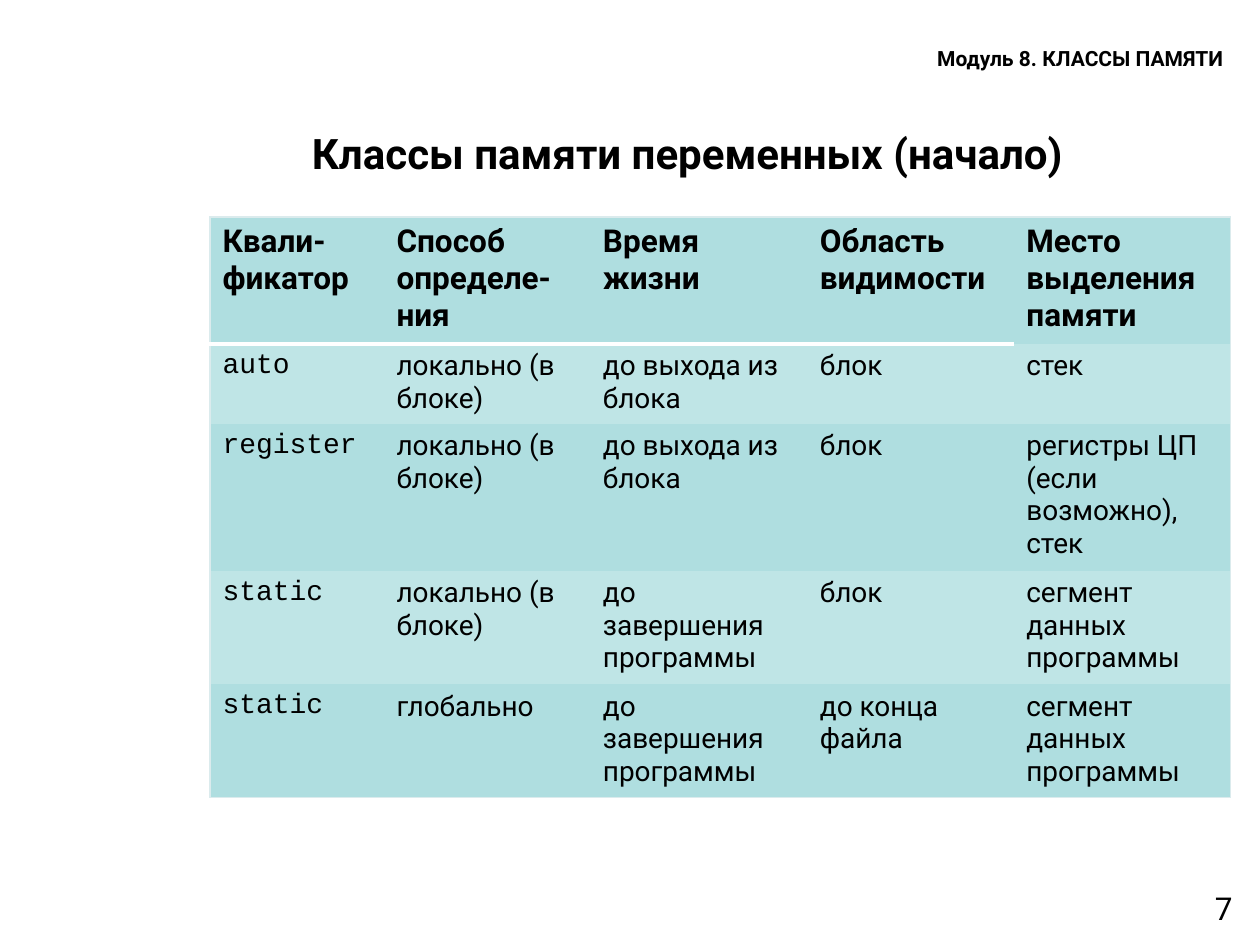
from lxml import etree
from pptx import Presentation
from pptx.dml.color import RGBColor
from pptx.enum import text
from pptx.oxml import ns
from pptx.util import Pt

COLORS = {
    "ink": "000000",
    "teal": "AFDEE0",
    "light teal": "BFE5E6",
    "edge": "DBEBED",
    "rule": "FFFFFF",
}
FONT = "Roboto"
CODE_FONT = "Courier New"
PLAIN_STYLE = "{2D5ABB26-0587-4C30-8999-92F81FD0307C}"  # no style, no grid

COLUMN_WIDTHS = [99.4, 118, 124, 118, 124]
ROW_HEIGHTS = [72.5, 45.2, 84, 64.8, 64.8]
ROWS = [
    ["Квали-фикатор", "Способ определе-ния", "Время жизни",
     "Область видимости", "Место выделения памяти"],
    ["auto", "локально (в блоке)", "до выхода из блока", "блок", "стек"],
    ["register", "локально (в блоке)", "до выхода из блока", "блок",
     "регистры ЦП (если возможно), стек"],
    ["static", "локально (в блоке)", "до завершения программы", "блок",
     "сегмент данных программы"],
    ["static", "глобально", "до завершения программы", "до конца файла",
     "сегмент данных программы"],
]


def rgb(name):
    return RGBColor.from_string(COLORS[name])


def write(frame, words, size, bold=False, font=FONT, align=None):
    para = frame.paragraphs[0]
    para.alignment = align
    span = para.add_run()
    span.text = words
    for key, value in {"name": font, "size": Pt(size), "bold": bold}.items():
        setattr(span.font, key, value)
    span.font.color.rgb = rgb("ink")


def add_text(page, bounds, words, size, frame_format=None, **style):
    box = page.shapes.add_textbox(*map(Pt, bounds))
    for key, value in {"word_wrap": True, **(frame_format or {})}.items():
        setattr(box.text_frame, key, value)
    write(box.text_frame, words, size, **style)


def add_border(cell, side, color, width):
    """Draw one cell side: L, R, T or B, in that order and before the fill."""
    line = etree.SubElement(cell._tc.get_or_add_tcPr(), ns.qn(f"a:ln{side}"),
                            w=str(Pt(width)))
    fill = etree.SubElement(line, ns.qn("a:solidFill"))
    etree.SubElement(fill, ns.qn("a:srgbClr"), val=COLORS[color])


def format_cell(cell, row, column):
    last_row, last_column = len(ROWS) - 1, len(COLUMN_WIDTHS) - 1
    outer = {"L": column == 0, "R": column == last_column,
             "T": row == 0, "B": row == last_row}
    for side, on_edge in outer.items():
        if on_edge:
            add_border(cell, side, "edge", 0.75)
    if row == 0 and column < last_column:
        add_border(cell, "B", "rule", 3)
    cell.fill.solid()
    cell.fill.fore_color.rgb = rgb("light teal" if row % 2 else "teal")


def add_class_table(page, left, top):
    frame = page.shapes.add_table(
        len(ROWS), len(COLUMN_WIDTHS), Pt(left), Pt(top),
        Pt(sum(COLUMN_WIDTHS)), Pt(sum(ROW_HEIGHTS)))
    table = frame.table
    table._tbl.tblPr.find(ns.qn("a:tableStyleId")).text = PLAIN_STYLE
    for column, width in zip(table.columns, COLUMN_WIDTHS):
        column.width = Pt(width)
    for row, height in zip(table.rows, ROW_HEIGHTS):
        row.height = Pt(height)
    for i, row in enumerate(ROWS):
        for j, words in enumerate(row):
            cell = table.cell(i, j)
            format_cell(cell, i, j)
            header = i == 0
            write(cell.text_frame, words, 18 if header else 16, bold=header,
                  font=CODE_FONT if j == 0 and not header else FONT)


def main():
    deck = Presentation()
    deck.slide_width, deck.slide_height = Pt(720), Pt(540)
    page = deck.slides.add_slide(deck.slide_layouts[6])
    add_text(page, (543.6, 504.7, 167.8, 37.4), "7", 18,
             align=text.PP_ALIGN.RIGHT)
    add_text(page, (95.8, 66.2, 594, 41.8),
             "Классы памяти переменных (начало)", 24,
             {"vertical_anchor": text.MSO_ANCHOR.MIDDLE},
             bold=True, align=text.PP_ALIGN.CENTER)
    add_text(page, (528.5, 22.3, 191.5, 21.6), "Модуль 8. КЛАССЫ ПАМЯТИ", 12,
             {"auto_size": text.MSO_AUTO_SIZE.SHAPE_TO_FIT_TEXT}, bold=True)
    add_class_table(page, 120, 124)
    deck.save("out.pptx")


if __name__ == "__main__":
    main()
